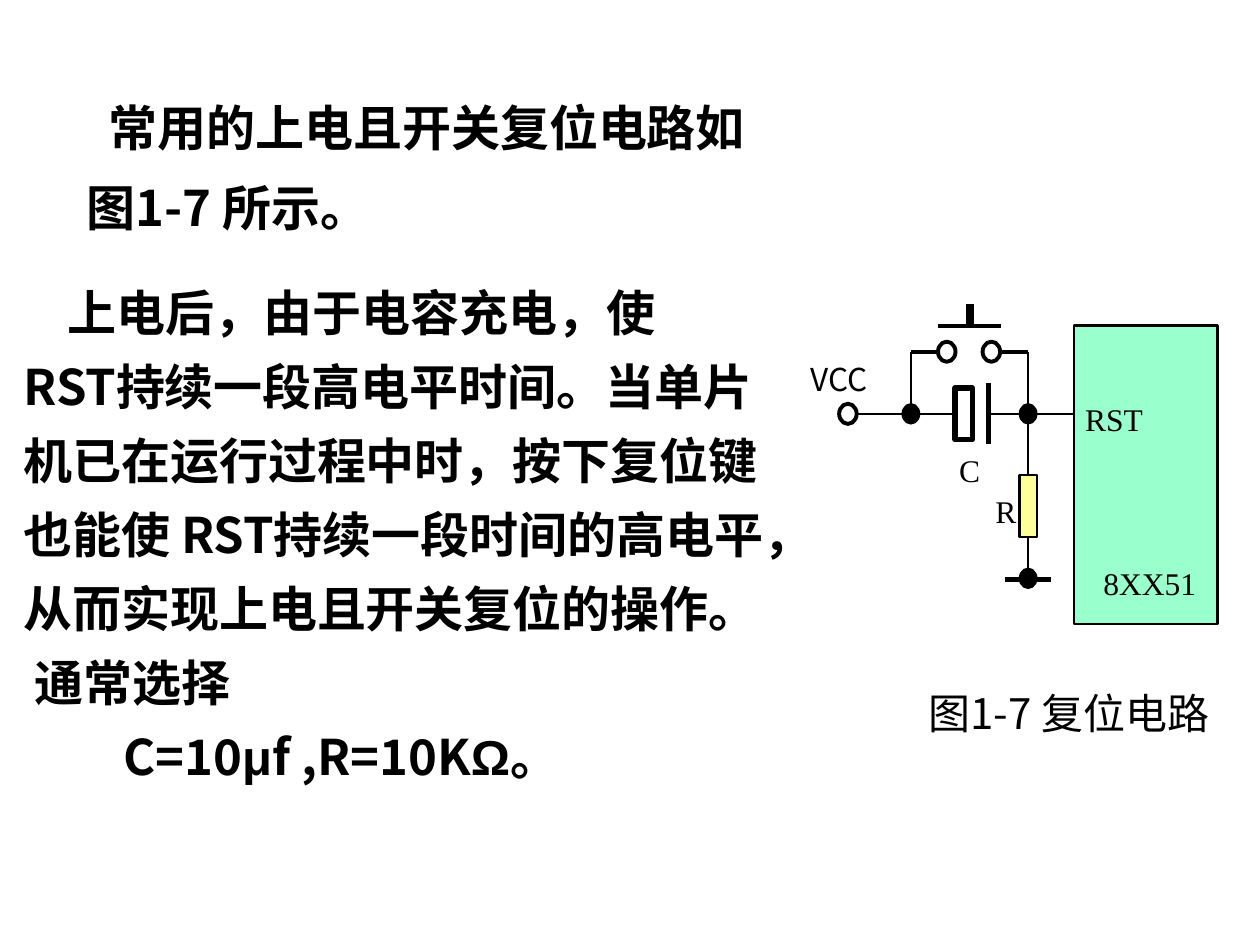
from dataclasses import dataclass

import pptx
import pptx.dml.color
import pptx.enum.shapes
import pptx.enum.text
import pptx.oxml.ns
import pptx.util
from lxml import etree

Pt = pptx.util.Pt
SHAPES = pptx.enum.shapes.MSO_SHAPE
COLORS = {"ink": "000000", "paper": "FFFFFF", "chip": "99FFCC", "resistor": "FFFF99"}
SANS, SERIF, GREEK = "Noto Sans CJK SC", "Times New Roman", "Arial"
SPACE = 6.35
WIRE_Y, BUTTON_Y, GROUND_Y = 236.5, 201, 330.5
SOURCE_X, LEFT_X, RIGHT_X, CHIP_X = 484.5, 520.5, 587.5, 613.75
NODE_WIDTH, NODE_HEIGHT = 10, 11.5


@dataclass
class Block:
    left: float
    top: float
    width: float
    height: float
    fill: str
    line_width: float


@dataclass
class Node:
    x: float
    y: float
    fill: str
    line_width: float


@dataclass
class Wire:
    x1: float
    y1: float
    x2: float
    y2: float
    width: float = 1.5
    begin: tuple | None = None
    end: tuple | None = None


@dataclass
class Line:
    text: str
    indent: int = 0


@dataclass
class TextBlock:
    left: float
    top: float
    width: float
    height: float
    lines: list[Line]
    size: float
    font: str = SANS
    bold: bool = False
    spacing: float = 1.0


def rgb(name: str):
    return pptx.dml.color.RGBColor.from_string(COLORS[name])


def draw_shape(slide, kind, left, top, width, height, fill: str, line_width: float):
    shape = slide.shapes.add_shape(kind, Pt(left), Pt(top), Pt(width), Pt(height))
    shape.shadow.inherit = False
    shape.fill.solid()
    shape.fill.fore_color.rgb = rgb(fill)
    shape.line.color.rgb = rgb("ink")
    shape.line.width = Pt(line_width)
    return shape


def draw_block(slide, block: Block):
    return draw_shape(slide, SHAPES.RECTANGLE, block.left, block.top,
                      block.width, block.height, block.fill, block.line_width)


def draw_node(slide, node: Node) -> None:
    draw_shape(slide, SHAPES.FLOWCHART_CONNECTOR, node.x - NODE_WIDTH / 2,
               node.y - NODE_HEIGHT / 2, NODE_WIDTH, NODE_HEIGHT,
               node.fill, node.line_width)


def draw_wire(slide, wire: Wire) -> None:
    connector = slide.shapes.add_connector(
        pptx.enum.shapes.MSO_CONNECTOR.STRAIGHT,
        Pt(wire.x1), Pt(wire.y1), Pt(wire.x2), Pt(wire.y2))
    connector.line.color.rgb = rgb("ink")
    connector.line.width = Pt(wire.width)
    etree.SubElement(connector._element.spPr, pptx.oxml.ns.qn("a:effectLst"))
    if wire.begin:
        connector.begin_connect(*wire.begin)
    if wire.end:
        connector.end_connect(*wire.end)


def add_runs(paragraph, text: str, font: str) -> None:
    for symbol in "μΩ":
        text = text.replace(symbol, f"|{symbol}|")
    for part in text.split("|"):
        run = paragraph.add_run()
        run.text = part
        run.font.name = GREEK if part in ("μ", "Ω") else font


def draw_text(slide, block: TextBlock) -> None:
    box = slide.shapes.add_textbox(Pt(block.left), Pt(block.top),
                                   Pt(block.width), Pt(block.height))
    frame = box.text_frame
    frame.word_wrap = True
    for index, line in enumerate(block.lines):
        paragraph = frame.paragraphs[0] if index == 0 else frame.add_paragraph()
        paragraph.line_spacing = block.spacing
        if index:
            paragraph.space_before = Pt(7)
        if line.indent:
            paragraph._p.get_or_add_pPr().set("marL", str(Pt(line.indent * SPACE)))
        paragraph.font.size = Pt(block.size)
        paragraph.font.bold = block.bold
        paragraph.font.color.rgb = rgb("ink")
        if "μ" in line.text:
            add_runs(paragraph, line.text, block.font)
        else:
            paragraph.font.name = block.font
            paragraph.add_run().text = line.text


def label(text: str, left: float, top: float, width: float,
          font: str = SERIF, size: float = 18) -> TextBlock:
    return TextBlock(left, top, width, 29, [Line(text)], size, font)


def draw_circuit(slide) -> None:
    draw_block(slide, Block(CHIP_X, 186, 82, 170.5, "chip", 1.5))
    plate = draw_block(slide, Block(545.75, WIRE_Y - 14.75, 10, 29.5, "paper", 3))
    resistor = draw_block(slide, Block(RIGHT_X - 5, 271.5, 10, 35.5, "resistor", 1.5))
    wires = [
        Wire(SOURCE_X + 5, WIRE_Y, LEFT_X, WIRE_Y),
        Wire(LEFT_X, WIRE_Y, 545.75, WIRE_Y, end=(plate, 1)),
        Wire(565, 219, 565, 254, 3),
        Wire(566.5, WIRE_Y, CHIP_X, WIRE_Y),
        Wire(536, 186.5, 572, 186.5, 2.25),
        Wire(554.5, 174, 554.5, 186, 4.5),
        Wire(LEFT_X, BUTTON_Y, 536, BUTTON_Y, 2.25),
        Wire(571.5, BUTTON_Y, RIGHT_X, BUTTON_Y, 2.25),
        Wire(LEFT_X, BUTTON_Y, LEFT_X, WIRE_Y),
        Wire(RIGHT_X, BUTTON_Y, RIGHT_X, 271.5, end=(resistor, 0)),
        Wire(RIGHT_X, 307, RIGHT_X, GROUND_Y, begin=(resistor, 2)),
        Wire(RIGHT_X - 13, 331, RIGHT_X + 13, 331, 3),
    ]
    for wire in wires:
        draw_wire(slide, wire)
    for x, y in ((LEFT_X, WIRE_Y), (RIGHT_X, WIRE_Y), (RIGHT_X, GROUND_Y)):
        draw_node(slide, Node(x, y, "ink", 0.75))
    for x, y in ((SOURCE_X, WIRE_Y), (541, BUTTON_Y), (566.5, BUTTON_Y)):
        draw_node(slide, Node(x, y, "paper", 2.25))


def main() -> None:
    presentation = pptx.Presentation()
    presentation.slide_width, presentation.slide_height = Pt(720), Pt(540)
    slide = presentation.slides.add_slide(presentation.slide_layouts[6])
    explanation = [
        Line("上电后，由于电容充电，使", 5),
        Line("RST持续一段高电平时间。当单片", 1),
        Line("机已在运行过程中时，按下复位键", 1),
        Line("也能使 RST持续一段时间的高电平，", 1),
        Line("从而实现上电且开关复位的操作。", 1),
        Line("通常选择", 2),
        Line("C=10μf ,R=10KΩ。", 10),
    ]
    introduction = [Line("常用的上电且开关复位电路如", 3), Line("图1-7 所示。", 1)]
    draw_text(slide, TextBlock(0, 156.25, 720, 383.75, explanation, 28, bold=True, spacing=1.05))
    draw_circuit(slide)
    for text_block in (
        label("RST", 613, 224.75, 57),
        label("8XX51", 623.5, 319, 72),
        label("R", 561.75, 277.5, 27),
        label("C", 541, 254.25, 27),
        label("VCC", 456, 202, 64, SANS),
        TextBlock(36, 47, 630, 94, introduction, 28, bold=True, spacing=1.15),
        label("图1-7 复位电路", 523.5, 389.5, 196.5, SANS, 24),
    ):
        draw_text(slide, text_block)
    presentation.save("out.pptx")


if __name__ == "__main__":
    main()
